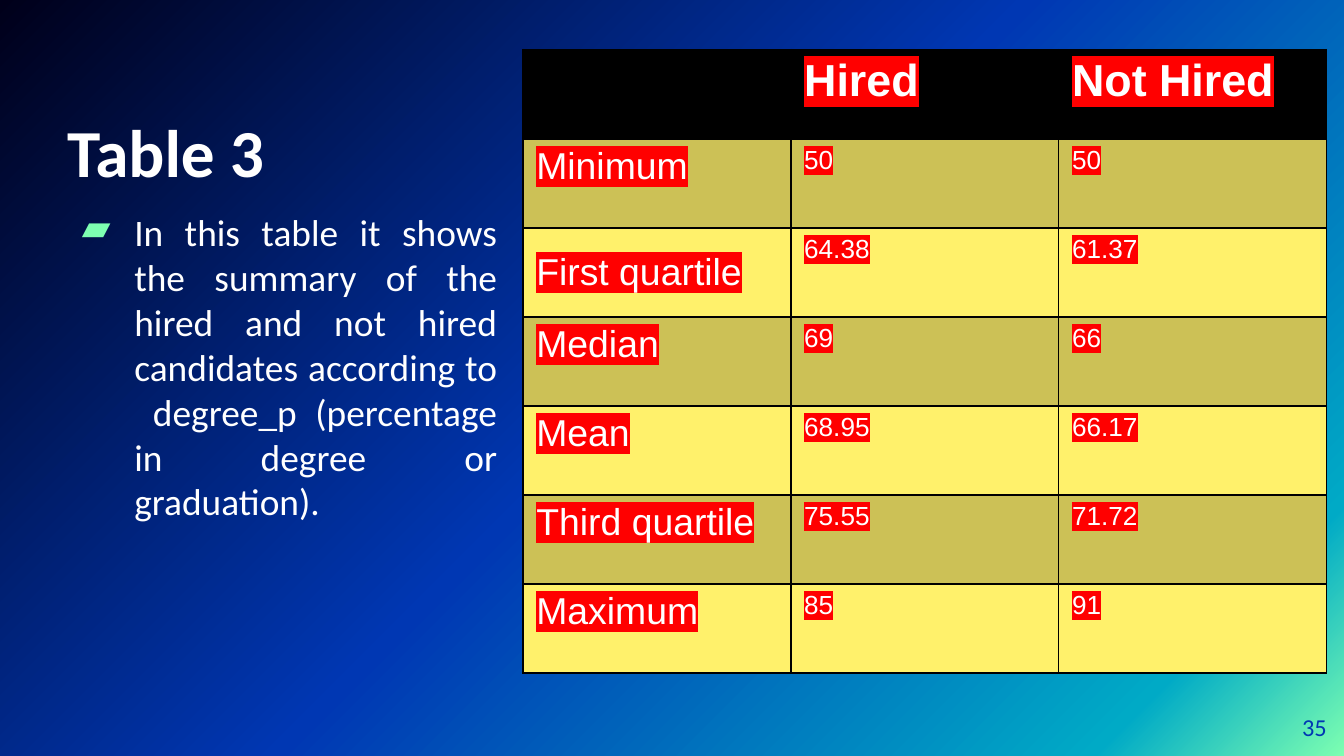
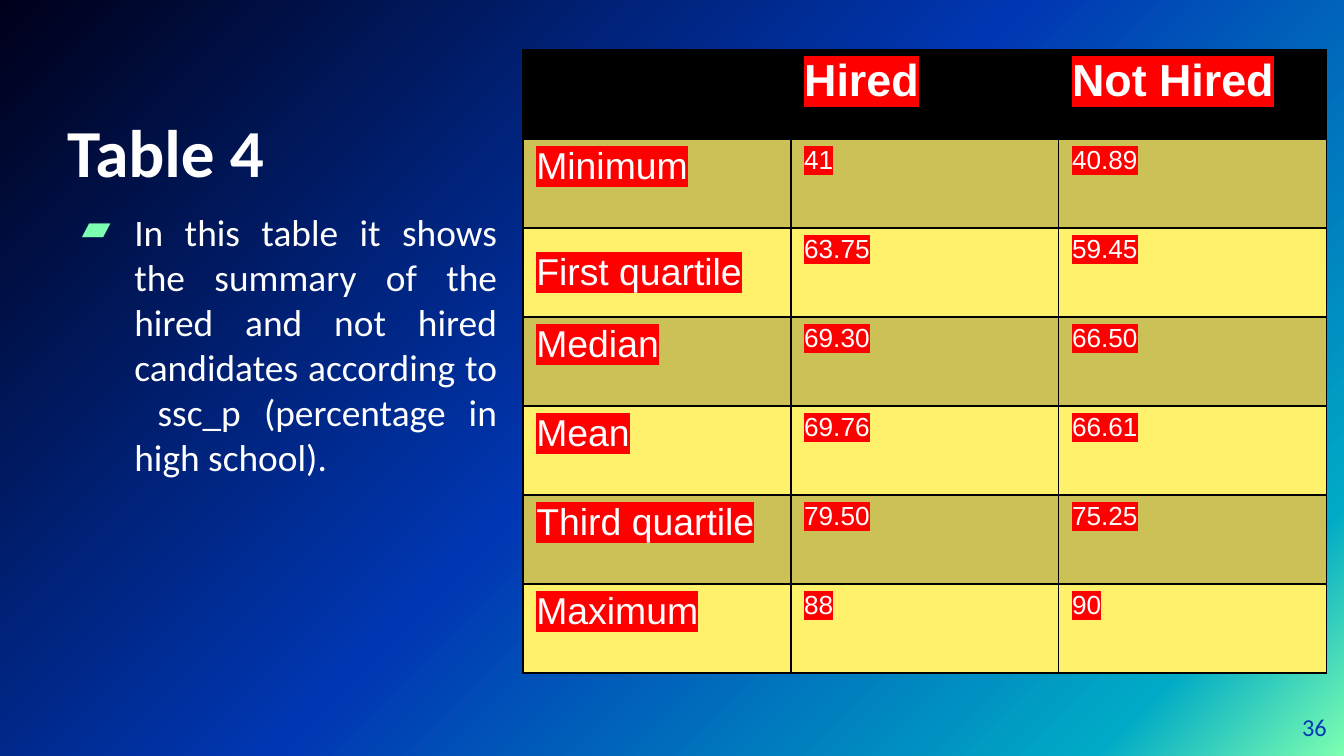
from lxml import etree
from pptx import Presentation
from pptx.dml.color import RGBColor
from pptx.enum.text import MSO_ANCHOR, PP_ALIGN
from pptx.oxml.ns import qn
from pptx.util import Inches, Pt

TOP, MID, LOW = MSO_ANCHOR.TOP, MSO_ANCHOR.MIDDLE, MSO_ANCHOR.BOTTOM
LEFT, RIGHT, JUST = PP_ALIGN.LEFT, PP_ALIGN.RIGHT, PP_ALIGN.JUSTIFY

WHITE, BLACK, RED = "FFFFFF", "000000", "FF0000"
MINT, BLUE = "7DFFB1", "0037B3"
BANDS = ("CCC156", "FFF16B")
STOPS = ((0, MINT), (12, "00AAC6"), (51, BLUE), (100, "00001A"))

HEADS = ("", "Hired", "Not Hired")
LABELS = ("Minimum", "First quartile", "Median", "Mean",
          "Third quartile", "Maximum")
INTRO = ("In this table it shows the summary of the hired and not hired "
         "candidates according to  ")
SLIDES = (
    {"title": "Table 3", "wide": 6.59, "page": 35,
     "body": INTRO + "degree_p (percentage in degree or graduation).",
     "hired": ("50", "64.38", "69", "68.95", "75.55", "85"),
     "other": ("50", "61.37", "66", "66.17", "71.72", "91")},
    {"title": "Table 4", "wide": 3.3, "page": 36,
     "body": INTRO + "ssc_p (percentage in high school).",
     "hired": ("41", "63.75", "69.30", "69.76", "79.50", "88"),
     "other": ("40.89", "59.45", "66.50", "66.61", "75.25", "90")},
)


def color(code):
    """Turn a hex string into a colour."""
    return RGBColor.from_string(code)


def add_tag(parent, name, **attrs):
    """Append a drawing element and return it."""
    return etree.SubElement(parent, qn("a:" + name), attrs)


def add_solid(parent, code):
    """Append a solid fill."""
    add_tag(add_tag(parent, "solidFill"), "srgbClr", val=code)


def put_text(frame, text, size, font="Calibri", code=WHITE, bold=False,
             align=LEFT, mark=None):
    """Write one formatted paragraph and return it."""
    para = frame.paragraphs[0]
    para.alignment = align
    run = para.add_run()
    run.text = text
    run.font.size = Pt(size)
    run.font.bold = bold
    run.font.color.rgb = color(code)
    run.font.name = font
    if mark:
        glow = etree.Element(qn("a:highlight"))
        add_tag(glow, "srgbClr", val=mark)
        run.font._element.find(qn("a:solidFill")).addnext(glow)
    return para


def add_text(slide, box, text, size, anchor=TOP, **style):
    """Add a text box without margins and return its paragraph."""
    frame = slide.shapes.add_textbox(*map(Inches, box)).text_frame
    frame.word_wrap = True
    frame.vertical_anchor = anchor
    frame.margin_left = frame.margin_right = 0
    frame.margin_top = frame.margin_bottom = 0
    return put_text(frame, text, size, **style)


def add_bullet(para):
    """Give a paragraph the slanted mint bullet."""
    para.space_before = Pt(6)
    props = para._p.get_or_add_pPr()
    props.set("marL", str(Inches(0.5)))
    props.set("indent", str(Inches(-0.39)))
    add_tag(add_tag(props, "buClr"), "srgbClr", val=MINT)
    add_tag(props, "buChar", char="▰")


def style_cell(cell, code):
    """Fill a cell and draw its four black borders."""
    cell.fill.solid()
    cell.fill.fore_color.rgb = color(code)
    props = cell._tc.get_or_add_tcPr()
    for spot, side in enumerate("LRTB"):
        line = etree.Element(qn("a:ln" + side), {"w": str(Pt(1))})
        add_solid(line, BLACK)
        props.insert(spot, line)


def add_grid(slide, rows):
    """Add the summary table with a black head and two band colours."""
    box = map(Inches, (3.89, 0.37, 5.98, 4.64))
    table = slide.shapes.add_table(len(rows), len(HEADS), *box).table
    table.first_row = table.horz_banding = False
    for i, row in enumerate(rows):
        for j, text in enumerate(row):
            cell = table.cell(i, j)
            style_cell(cell, BANDS[(i - 1) % 2] if i else BLACK)
            size = 24 if i == 0 else 20 if j == 0 else 14
            if text:
                put_text(cell.text_frame, text, size, font="Arial",
                         bold=i == 0, mark=RED)
            if text == "First quartile":
                cell.vertical_anchor = MID


def set_back(slide):
    """Paint the diagonal gradient."""
    fill = slide.background.fill
    fill.gradient()
    fill.gradient_angle = 135
    stops = next(slide.element.iter(qn("a:gsLst")))
    for stop in list(stops):
        stops.remove(stop)
    for place, code in STOPS:
        stop = add_tag(stops, "gs", pos=str(place * 1000))
        add_tag(stop, "srgbClr", val=code)


def add_page(deck, data):
    """Build one slide from its data."""
    slide = deck.slides.add_slide(deck.slide_layouts[6])
    set_back(slide)
    add_text(slide, (0.5, 0.48, data["wide"], 0.94), data["title"], 36,
             anchor=LOW, bold=True)
    add_bullet(add_text(slide, (0.5, 1.56, 3.2, 3.45), data["body"], 20,
                        align=JUST))
    add_text(slide, (9.27, 5.19, 0.6, 0.43), str(data["page"]), 13,
             anchor=MID, code=BLUE, align=RIGHT)
    add_grid(slide, [HEADS, *zip(LABELS, data["hired"], data["other"])])


def main():
    """Build and save the deck."""
    deck = Presentation()
    deck.slide_width = Inches(10)
    deck.slide_height = Inches(10) * 9 // 16
    for data in SLIDES:
        add_page(deck, data)
    deck.save("out.pptx")


if __name__ == "__main__":
    main()
